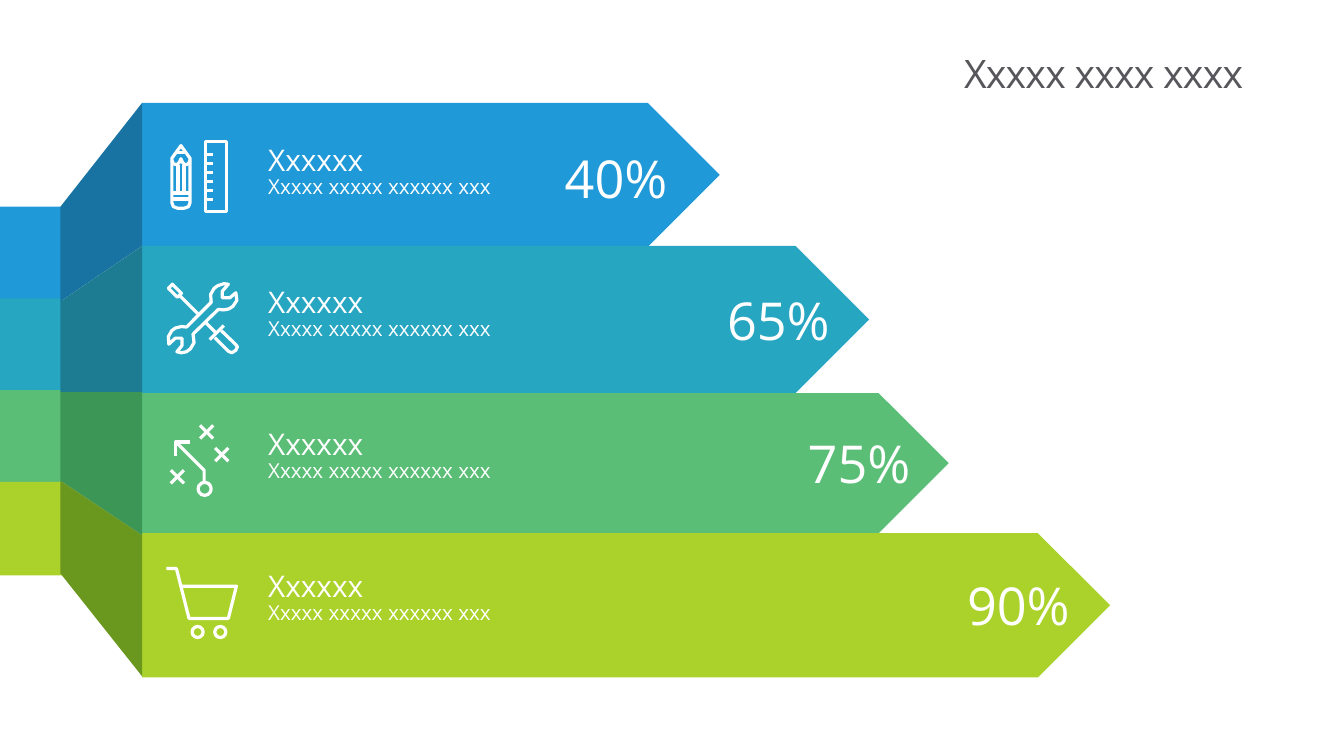
import pptx
import pptx.util
import pptx.dml.color
import pptx.enum.shapes
import pptx.enum.text
from collections import namedtuple

Inches, Pt = pptx.util.Inches, pptx.util.Pt
RGB = pptx.dml.color.RGBColor
SHAPE = pptx.enum.shapes.MSO_SHAPE
ALIGN = pptx.enum.text.PP_ALIGN
ANCHOR = pptx.enum.text.MSO_ANCHOR
FIT = pptx.enum.text.MSO_AUTO_SIZE

WHITE = RGB(0xFF, 0xFF, 0xFF)
GRAY = RGB(0x57, 0x56, 0x5A)
BLUE, NAVY = RGB(0x20, 0x99, 0xD8), RGB(0x18, 0x73, 0xA2)
TEAL, PINE = RGB(0x27, 0xA6, 0xC2), RGB(0x1D, 0x7C, 0x92)
GREEN, MOSS = RGB(0x5B, 0xBE, 0x77), RGB(0x3C, 0x97, 0x56)
LIME, OLIVE = RGB(0xAB, 0xD2, 0x2A), RGB(0x6A, 0x97, 0x1E)
FONT = "Open Sans"

Box = namedtuple("Box", "left top width height")
# Icon parts are in hundredths of an inch: (points, closed) and (x, y, radius)
Icon = namedtuple("Icon", "lines rings")
Row = namedtuple("Row", "fill shade top height width end value icon")


def cross(x, y, r=6.5):
    return [([(x - r, y - r), (x + r, y + r)], False),
            ([(x - r, y + r), (x + r, y - r)], False)]


PENCIL = Icon([
    # ruler and its ticks
    ([(39.5, 1.5), (60.5, 1.5), (60.5, 70.5), (39.5, 70.5)], True),
    *[([(39.5, y), (47, y)], False) for y in range(14, 60, 9)],
    # pencil outline, tip, wood edge, stripes and bands
    ([(15.5, 5.5), (24.5, 18), (24.5, 62), (23, 66), (19, 67.5),
      (12, 67.5), (8, 66), (6.5, 62), (6.5, 18)], True),
    ([(11.5, 12.5), (19.5, 12.5)], False),
    ([(6.5, 20), (8, 23.5), (11.5, 24.5), (14, 22), (15.5, 18.5),
      (17, 22), (19.5, 24.5), (23, 23.5), (24.5, 20)], False),
    *[([(x, 25), (x, 52.5)], False) for x in (12.5, 18.5)],
    *[([(6.5, y), (24.5, y)], False) for y in (52.5, 58.5)],
], [])

TOOLS = Icon([
    # wrench
    ([(70, 10.5), (64, 15.5), (56.5, 15.5), (56.5, 9), (62.5, 2), (58, 1.5),
      (52, 3.5), (48.5, 6), (45, 12), (45.5, 20), (21, 44.5), (16, 44),
      (10, 45.5), (6.5, 48), (3, 54), (3.5, 61.5), (10, 55.5), (16.5, 55.5),
      (16.5, 63), (11.5, 69), (16, 70), (21, 69), (25, 66), (28.5, 60),
      (27.5, 51.5), (52.5, 27), (58, 27.5), (63, 26.5), (67, 24),
      (71, 18)], True),
    # screwdriver
    ([(3, 6), (7, 2), (16, 11), (12, 15)], True),
    ([(14, 13), (33, 32)], False),
    ([(40, 40), (51, 51)], False),
    ([(44, 57), (58, 43)], False),
    ([(49, 55), (62.5, 68.5), (66, 70), (70, 67.5), (71.5, 64),
      (70, 62), (55.5, 48)], False),
], [])

PLAN = Icon([
    ([(25, 17.5), (10.5, 17.5), (10.5, 31)], False),
    ([(10.5, 17.5), (38.5, 45.5), (38.5, 57)], False),
    *cross(12, 52), *cross(56, 30), *cross(41, 7.5),
], [(39, 64, 6.5)])

CART = Icon([
    ([(1, 2), (11, 2), (23.5, 51.5), (62.5, 51.5), (70.5, 19.5),
      (16, 19.5)], False),
], [(32, 65, 5.5), (54.5, 65, 5.5)])

ROWS = [
    Row(BLUE, NAVY, 1.02, 1.43, 5.73, 7.02, "40%", PENCIL),
    Row(TEAL, PINE, 2.44, 1.46, 7.21, 8.63, "65%", TOOLS),
    Row(GREEN, MOSS, 3.9, 1.39, 8, 9.43, "75%", PLAN),
    Row(LIME, OLIVE, 5.29, 1.43, 9.6, 11.01, "90%", CART),
]
OUTER = [1.02, 2.44, 3.89, 5.31, 6.71]  # fold corners at the arrows
INNER = [2.05, 2.99, 3.89, 4.77, 5.69]  # fold corners at the tabs


def paint(shape, fill):
    shape.shadow.inherit = False
    shape.fill.solid()
    shape.fill.fore_color.rgb = fill
    shape.line.fill.background()


def block(slide, kind, box, fill):
    paint(slide.shapes.add_shape(kind, *map(Inches, box)), fill)


def trace(slide, lines):
    """Make one freeform from (points, closed) lines given in inches."""
    pen = None
    for points, closed in lines:
        first, *rest = [(Inches(x), Inches(y)) for x, y in points]
        if pen is None:
            pen = slide.shapes.build_freeform(*first, scale=1.0)
        else:
            pen.move_to(*first)
        pen.add_line_segments(rest, close=closed)
    return pen.convert_to_shape()


def write(slide, box, lines, color, inset, align=ALIGN.LEFT,
          anchor=ANCHOR.TOP, space=None, grow=True):
    frame = slide.shapes.add_textbox(*map(Inches, box)).text_frame
    frame.word_wrap = True
    frame.auto_size = FIT.SHAPE_TO_FIT_TEXT if grow else FIT.NONE
    frame.vertical_anchor = anchor
    (frame.margin_left, frame.margin_top,
     frame.margin_right, frame.margin_bottom) = map(Inches, inset)
    for i, (text, size) in enumerate(lines):
        para = frame.add_paragraph() if i else frame.paragraphs[0]
        para.text = text
        para.alignment = align
        para.line_spacing = space
        para.font.name, para.font.size = FONT, Pt(size)
        para.font.color.rgb = color
    return frame


def title(slide, box):
    frame = write(slide, box, [("Xxxxx xxxx xxxx", 28)], GRAY, (0, 0, 0, 0),
                  ALIGN.RIGHT, ANCHOR.MIDDLE, 0.86, grow=False)
    frame.paragraphs[0].runs[0].font._element.set("spc", "-50")


def draw(slide, icon, left, top):
    parts = [trace(slide, [([(left + x / 100, top + y / 100)
                             for x, y in points], closed)
                           for points, closed in icon.lines])]
    for x, y, r in icon.rings:
        box = (left + (x - r) / 100, top + (y - r) / 100, r / 50, r / 50)
        parts.append(slide.shapes.add_shape(SHAPE.OVAL, *map(Inches, box)))
    for part in parts:
        part.shadow.inherit = False
        part.fill.background()
        part.line.color.rgb = WHITE
        part.line.width = Pt(2.3)


def label(slide, row, box):
    """Place the icon, the text and the value of one arrow."""
    draw(slide, row.icon, box.left, box.top)
    write(slide, (box.left + 1.02, box.top + 0.02, 3.34, 0.62),
          [("Xxxxxx", 21.3), ("Xxxxx xxxxx xxxxxx xxx", 14.7)],
          WHITE, (0, 0.05, 0, 0.05), space=0.85)
    wide = 2.18
    write(slide, (box.left + box.width - wide, box.top + 0.01, wide, 0.73),
          [(row.value, 37.3)], WHITE, (0.1, 0.05, 0.4, 0.05),
          ALIGN.RIGHT, ANCHOR.MIDDLE)


def ribbon(slide, box):
    """Place the tabs, then the folds that join them to the arrows."""
    for i, row in enumerate(ROWS):
        block(slide, SHAPE.RECTANGLE,
              (box.left, box.top + 0.91 * i, 0.97, 0.93), row.fill)
    near, far = box.left + 0.95, box.left + box.width
    for i, row in enumerate(ROWS):
        points = [(far, OUTER[i]), (far, OUTER[i + 1]),
                  (near, INNER[i + 1]), (near, INNER[i])]
        paint(trace(slide, [(points, True)]), row.shade)


def main():
    deck = pptx.Presentation()
    deck.slide_width, deck.slide_height = Inches(13.33), Inches(7.5)
    slide = deck.slides.add_slide(deck.slide_layouts[6])
    # Arrows
    for row in ROWS:
        block(slide, SHAPE.PENTAGON,
              (1.41, row.top, row.width, row.height), row.fill)
    # Contents of the arrows
    for i, row in enumerate(ROWS):
        label(slide, row, Box(1.64, 1.39 + 1.41 * i, row.end - 1.64, 0.72))
    title(slide, Box(1, 0.31, 11.33, 0.89))
    ribbon(slide, Box(-0.35, 2.05, 1.76, 3.66))
    deck.save("out.pptx")


if __name__ == "__main__":
    main()
